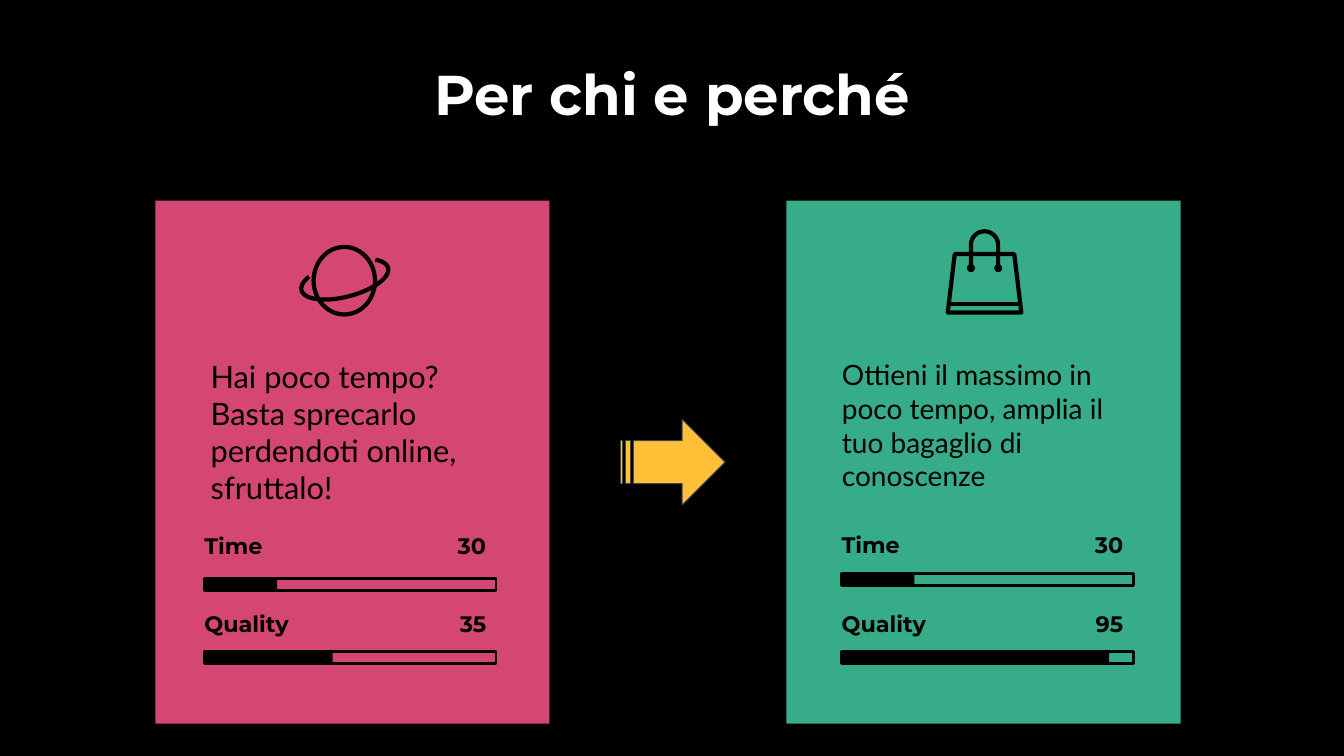
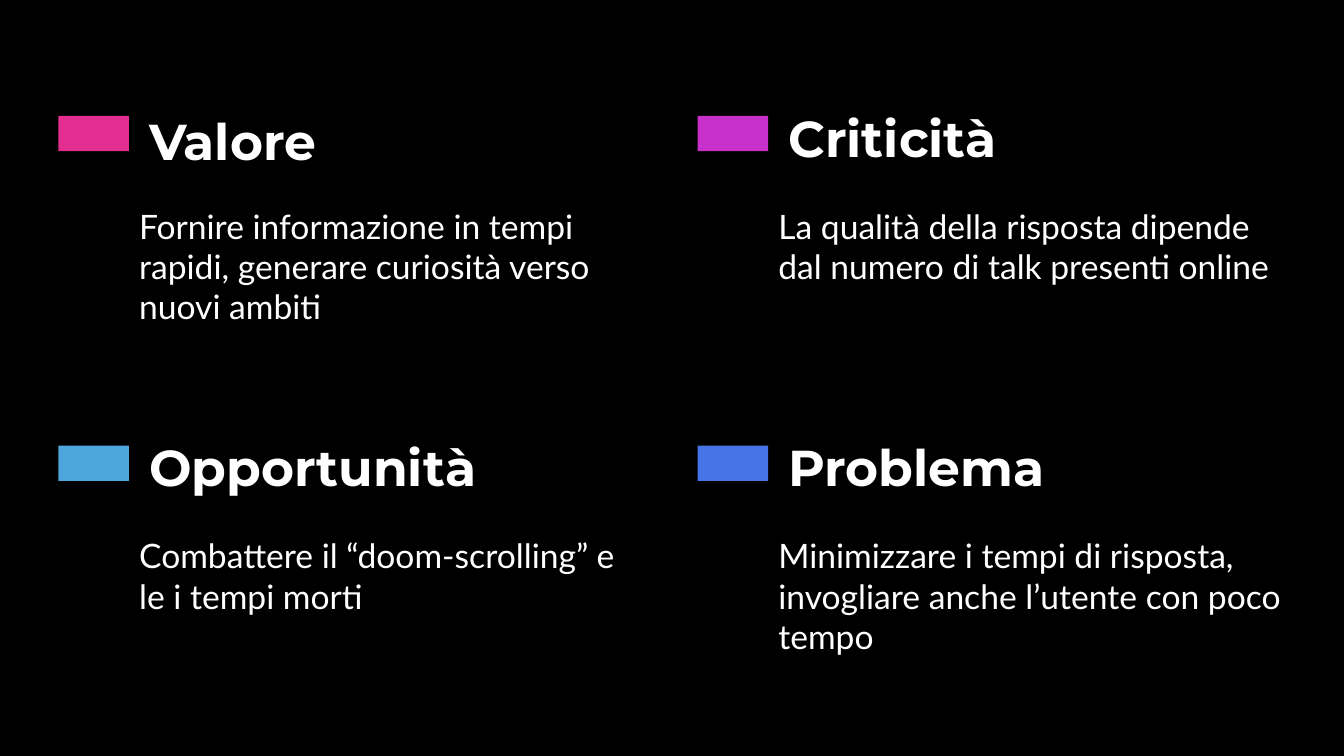
from dataclasses import dataclass
from math import cos, pi, sin
from typing import Optional

from pptx import Presentation
from pptx.dml.color import RGBColor
from pptx.enum.shapes import MSO_SHAPE as SHAPE
from pptx.enum.text import MSO_ANCHOR as ANCHOR, MSO_AUTO_SIZE as AUTO, PP_ALIGN as ALIGN
from pptx.util import Inches, Pt

# Shared look
BLACK, WHITE = "000000", "FFFFFF"
HEAD, BODY = "Montserrat", "Lato"
TITLE_FMT = {"size": Pt(40), "name": HEAD, "bold": True}
HEADING_FMT = {"size": Pt(36), "name": HEAD, "bold": True}
LABEL_FMT = {"size": Pt(16), "name": HEAD, "bold": True}
LAYOUT = 4  # title and four text areas
BODY_IDS = (1, 2, 3, 4)
ICON_LINE = 3.0


@dataclass
class Meter:
    label: str
    value: str
    label_y: float
    bar_y: float
    filled: float


@dataclass
class Card:
    x: float
    color: str
    text: str
    text_x: float
    text_size: int
    bar_x: float
    meters: tuple[Meter, ...]


@dataclass
class Topic:
    heading: str
    text: str
    color: str
    heading_y: float


CARDS = (
    Card(1.54, "D54773", "Hai poco tempo? Basta sprecarlo perdendoti online, sfruttalo!",
         1.99, 22, 2.03,
         (Meter("Time", "30", 5.32, 5.74, 0.72), Meter("Quality", "35", 6.09, 6.46, 1.27))),
    Card(7.8, "36AC88",
         "Ottieni il massimo in poco tempo, amplia il tuo bagaglio di conoscenze",
         8.25, 20, 8.35,
         (Meter("Time", "30", 5.31, 5.69, 0.72), Meter("Quality", "95", 6.09, 6.46, 2.65))),
)

TOPICS = (
    Topic("Valore", "Fornire informazione in tempi rapidi, generare curiosità verso nuovi ambiti",
          "E32D91", 1.04),
    Topic("Criticità", "La qualità della risposta dipende dal numero di talk presenti online",
          "C830CC", 1.01),
    Topic("Opportunità", "Combattere il “doom-scrolling” e le i tempi morti", "4EA6DC", 4.28),
    Topic("Problema", "Minimizzare i tempi di risposta, invogliare anche l’utente con poco tempo",
          "4775E7", 4.28),
)


def rgb(color: str) -> RGBColor:
    return RGBColor.from_string(color)


def style(sp, fill: Optional[str] = None, line: Optional[str] = None, width: float = 1) -> None:
    """Set fill and outline; None means no paint."""
    sp.shadow.inherit = False
    if fill:
        sp.fill.solid()
        sp.fill.fore_color.rgb = rgb(fill)
    else:
        sp.fill.background()
    if line:
        sp.line.color.rgb = rgb(line)
        sp.line.width = Pt(width)
    else:
        sp.line.fill.background()


def add_shape(slide, kind, x: float, y: float, w: float, h: float, **paint):
    sp = slide.shapes.add_shape(kind, Inches(x), Inches(y), Inches(w), Inches(h))
    style(sp, **paint)
    return sp


def write(sp, text: str, fmt: dict, color: str, align=ALIGN.LEFT, anchor=ANCHOR.TOP) -> None:
    """Write one unbulleted paragraph."""
    tf = sp.text_frame
    frame_fmt = {"word_wrap": True, "auto_size": AUTO.NONE, "vertical_anchor": anchor,
                 "margin_left": Inches(0.1), "margin_right": Inches(0.1),
                 "margin_top": Inches(0.05), "margin_bottom": Inches(0.05)}
    for name, value in frame_fmt.items():
        setattr(tf, name, value)
    p = tf.paragraphs[0]
    p.alignment, p.space_before = align, Pt(0)
    pPr = p._p.get_or_add_pPr()
    pPr.set("marL", "0")
    pPr.set("indent", "0")
    pPr.append(pPr.makeelement(
        "{http://schemas.openxmlformats.org/drawingml/2006/main}buNone", {}))
    r = p.add_run()
    r.text = text
    for name, value in fmt.items():
        setattr(r.font, name, value)
    r.font.color.rgb = rgb(color)


def add_text(slide, x: float, y: float, w: float, h: float, text: str, fmt: dict,
             color: str, **place) -> None:
    sp = slide.shapes.add_textbox(Inches(x), Inches(y), Inches(w), Inches(h))
    write(sp, text, fmt, color, **place)


def fill_placeholder(slide, idx: int, x: float, y: float, w: float, h: float, text: str,
                     fmt: dict, color: str, **place) -> None:
    """Move a placeholder to the front and fill it."""
    sp = next(s for s in slide.placeholders if s.placeholder_format.idx == idx)
    sp.left, sp.top, sp.width, sp.height = (Inches(v) for v in (x, y, w, h))
    write(sp, text, fmt, color, **place)
    sp.element.getparent().append(sp.element)


def drop_empty(slide) -> None:
    for sp in list(slide.placeholders):
        if not sp.text_frame.text:
            sp.element.getparent().remove(sp.element)


def body_fmt(size: int) -> dict:
    return {"size": Pt(size), "name": BODY, "bold": False}


# Icons
def arc(cx: float, cy: float, u: tuple, v: tuple, start: float, end: float) -> list:
    """Points on an ellipse with half axes u and v."""
    steps = 40
    angles = [start + (end - start) * i / steps for i in range(steps + 1)]
    return [(cx + cos(t) * u[0] + sin(t) * v[0], cy + cos(t) * u[1] + sin(t) * v[1])
            for t in angles]


def add_stroke(slide, points: list, close: bool = False) -> None:
    # The builder rounds to whole units, so give it full lengths
    first, *rest = [(Inches(x), Inches(y)) for x, y in points]
    fb = slide.shapes.build_freeform(*first)
    fb.add_line_segments(rest, close=close)
    style(fb.convert_to_shape(), line=BLACK, width=ICON_LINE)


def draw_planet(slide) -> None:
    add_shape(slide, SHAPE.OVAL, 3.11, 2.45, 0.61, 0.67, line=BLACK, width=ICON_LINE)
    add_stroke(slide, arc(3.42, 2.77, (0.43, -0.11), (0.04, 0.17), -0.7, pi + 0.7))


def draw_bag(slide) -> None:
    left, right, knob_y, knob = 9.63, 9.9, 2.66, 0.08
    radius = (right - left) / 2
    add_stroke(slide, [(9.4, 3.1), (9.47, 2.52), (10.06, 2.52), (10.13, 3.1)], close=True)
    add_stroke(slide, [(9.41, 3.02), (10.12, 3.02)])
    handle = arc(left + radius, 2.43, (radius, 0), (0, radius), pi, 2 * pi)
    add_stroke(slide, [(left, knob_y), *handle, (right, knob_y)])
    for x in (left, right):
        add_shape(slide, SHAPE.OVAL, x - knob / 2, knob_y - knob / 2, knob, knob, fill=BLACK)


# Slide parts
def draw_meter(slide, x: float, m: Meter) -> None:
    width, value_w = 2.89, 0.73
    add_text(slide, x - 0.1, m.label_y, 2.26, 0.19, m.label, LABEL_FMT, BLACK,
             anchor=ANCHOR.MIDDLE)
    add_text(slide, x + width - value_w, m.label_y, value_w, 0.19, m.value, LABEL_FMT, BLACK,
             align=ALIGN.RIGHT, anchor=ANCHOR.MIDDLE)
    add_shape(slide, SHAPE.RECTANGLE, x, m.bar_y, m.filled, 0.12, fill=BLACK)
    add_shape(slide, SHAPE.RECTANGLE, x, m.bar_y, width, 0.12, line=BLACK, width=2)


def draw_card(slide, idx: int, card: Card) -> None:
    add_shape(slide, SHAPE.RECTANGLE, card.x, 1.99, 3.91, 5.19, fill=card.color)
    fill_placeholder(slide, idx, card.text_x, 3.5, 3.02, 1.45, card.text,
                     body_fmt(card.text_size), BLACK)
    for m in card.meters:
        draw_meter(slide, card.bar_x, m)


def draw_topic(slide, idx: int, x: float, y: float, topic: Topic) -> None:
    add_shape(slide, SHAPE.RECTANGLE, x, y, 0.7, 0.35, fill=topic.color)
    add_text(slide, x + 0.8, topic.heading_y, 3.69, 0.71, topic.heading, HEADING_FMT, WHITE)
    fill_placeholder(slide, idx, x + 0.7, y + 0.84, 5.19, 1.31, topic.text,
                     body_fmt(24), WHITE)


def build_audience(prs) -> None:
    slide = prs.slides.add_slide(prs.slide_layouts[LAYOUT])
    fill_placeholder(slide, 0, 3.86, 0.33, 5.61, 1.18, "Per chi e perché", TITLE_FMT, WHITE,
                     align=ALIGN.CENTER, anchor=ANCHOR.MIDDLE)
    for idx, card in zip(BODY_IDS, CARDS):
        draw_card(slide, idx, card)
    draw_planet(slide)
    draw_bag(slide)
    add_shape(slide, SHAPE.STRIPED_RIGHT_ARROW, 6.15, 4.16, 1.04, 0.85,
              fill="FFC038", line="454551", width=0.75)
    drop_empty(slide)


def build_topics(prs) -> None:
    slide = prs.slides.add_slide(prs.slide_layouts[LAYOUT])
    for i, (idx, topic) in enumerate(zip(BODY_IDS, TOPICS)):
        row, col = divmod(i, 2)
        draw_topic(slide, idx, 0.58 + col * 6.34, 1.15 + row * 3.27, topic)
    drop_empty(slide)


def main() -> None:
    prs = Presentation()
    prs.slide_width, prs.slide_height = Inches(13.33), Inches(7.5)
    background = prs.slide_master.background.fill
    background.solid()
    background.fore_color.rgb = rgb(BLACK)
    build_audience(prs)
    build_topics(prs)
    prs.save("out.pptx")


if __name__ == "__main__":
    main()
